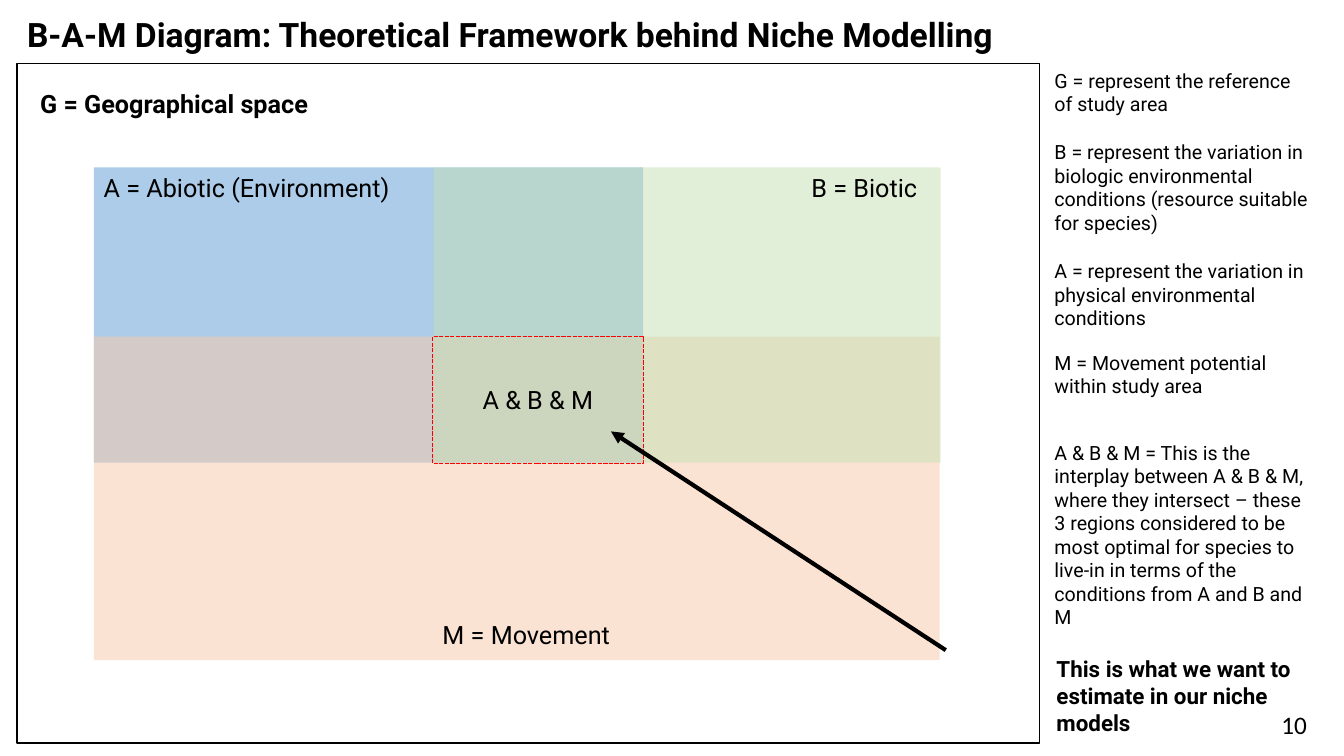
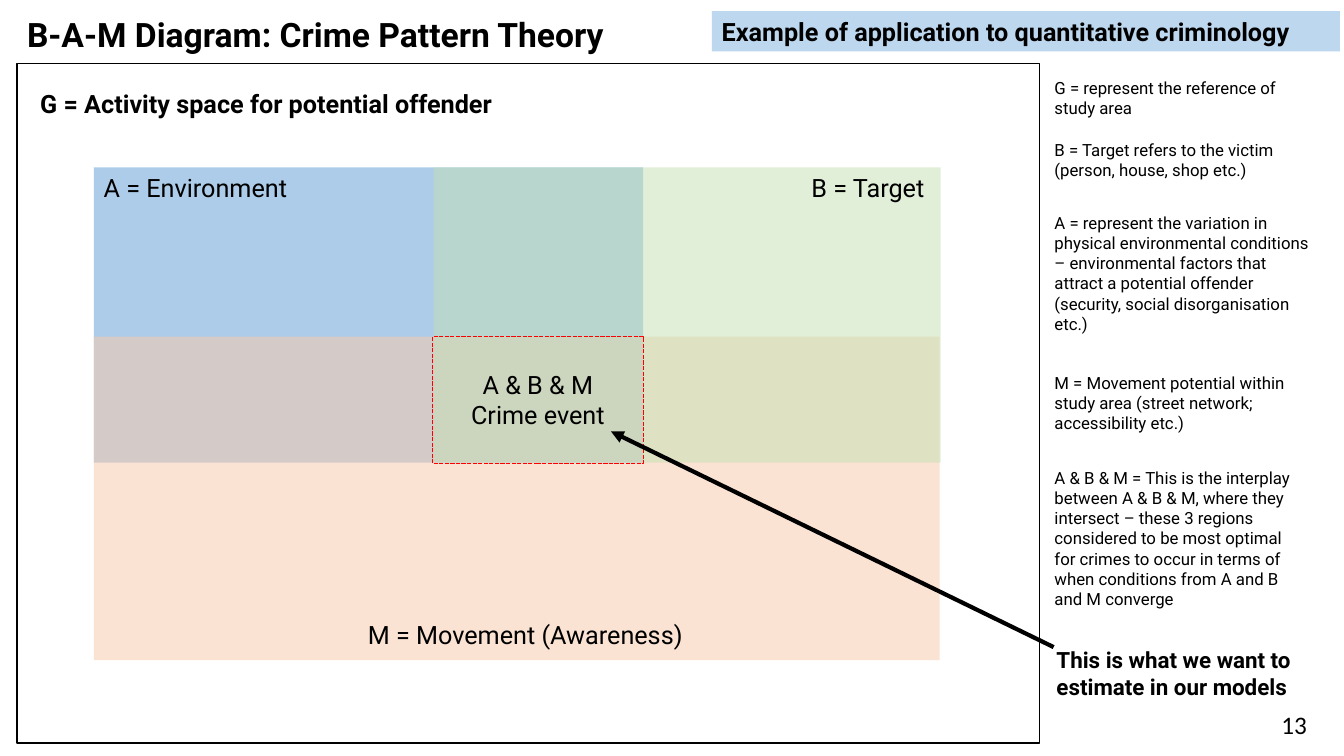
from pptx import Presentation
from pptx import util as u
from pptx.dml.color import RGBColor
from pptx.enum import dml, shapes, text
from pptx.oxml import ns
from lxml import etree

BLACK = RGBColor(0x00, 0x00, 0x00)
WHITE = RGBColor(0xFF, 0xFF, 0xFF)
RED = RGBColor(0xFF, 0x00, 0x00)
BLUE = RGBColor(0x5B, 0x9B, 0xD5)
ORANGE = RGBColor(0xF8, 0xCB, 0xAD)
GREEN = RGBColor(0xC5, 0xE0, 0xB4)
PALE_BLUE = RGBColor(0xBD, 0xD7, 0xEE)
FONT = "Roboto"
NUMBER_FONT = "Calibri"
FRAME = (0.17, 0.63, 10.14, 6.74)
NOTES_LEFT = 10.36


def inches(*values):
    """Turn plain numbers into lengths."""
    return [u.Inches(v) for v in values]


def write(sp, lines, size, bold=False, align=text.PP_ALIGN.LEFT, font=FONT, spacing=None):
    """Fill a shape with one paragraph for each line."""
    tf = sp.text_frame
    tf.word_wrap = True
    tf.vertical_anchor = text.MSO_ANCHOR.TOP
    for i, line in enumerate(lines):
        p = tf.paragraphs[0] if i == 0 else tf.add_paragraph()
        p.alignment = align
        if spacing:
            p.line_spacing = spacing
        r = p.add_run()
        r.text = line
        r.font.name = font
        r.font.size = u.Pt(size)
        r.font.bold = bold
        r.font.color.rgb = BLACK


def add_text(s, box, line, size, **style):
    """Add a text box."""
    write(s.shapes.add_textbox(*inches(*box)), line.split("\n"), size, **style)


def add_rect(s, box, fill=None, opacity=None, line=None, dash=None):
    """Add a rectangle, optionally translucent or outlined."""
    sp = s.shapes.add_shape(shapes.MSO_SHAPE.RECTANGLE, *inches(*box))
    sp.shadow.inherit = False
    if fill is None:
        sp.fill.background()
    else:
        sp.fill.solid()
        sp.fill.fore_color.rgb = fill
    if opacity:
        color = sp.fill._xPr.find(".//" + ns.qn("a:srgbClr"))
        etree.SubElement(color, ns.qn("a:alpha"), val=str(opacity * 1000))
    if line is None:
        sp.line.fill.background()
    else:
        sp.line.color.rgb = line
        sp.line.width = u.Pt(1)
    if dash:
        sp.line.dash_style = dash
    return sp


def add_arrow(s, start, end):
    """Add a thick line with a triangle at its end."""
    cx = s.shapes.add_connector(shapes.MSO_CONNECTOR.STRAIGHT, *inches(*start, *end))
    cx.line.color.rgb = BLACK
    cx.line.width = u.Pt(3)
    etree.SubElement(cx.line._get_or_add_ln(), ns.qn("a:tailEnd"), type="triangle")
    etree.SubElement(cx._element.spPr, ns.qn("a:effectLst"))


def add_header(s, title, banner):
    """Add the title and, where given, the banner beside it."""
    add_text(s, (0.17, 0.13, 10.7, 0.71), title, 24, bold=True, spacing=0.9)
    if banner:
        sp = add_rect(s, (7.06, 0.11, 6.23, 0.4), PALE_BLUE)
        write(sp, [banner], 18, bold=True)


def add_diagram(s, frame, labels, movement_box, core_box, arrow_start):
    """Add the framed diagram of three overlapping zones."""
    left, top = frame[:2]
    x, y = left + 0.76, top + 1.03

    def at(dx, dy, *size):
        return (x + dx, y + dy, *size)

    space, abiotic, biotic, movement, core = labels
    add_rect(s, frame, line=BLACK)
    add_text(s, (left + 0.13, top + 0.2, 5.73, 0.4), space, 18, bold=True)
    add_rect(s, at(0, 0, 5.45, 2.93), BLUE, 50)
    add_rect(s, at(0, 1.68, 8.39, 3.21), ORANGE, 53)
    add_rect(s, at(3.37, 0, 5.03, 2.93), GREEN, 50)
    add_text(s, at(0, 0, 3.1, 0.4), abiotic, 18)
    add_text(s, at(7.02, 0, 1.37, 0.4), biotic, 18)
    add_text(s, at(*movement_box), movement, 18)
    add_rect(s, at(3.36, 1.68, 2.09, 1.26), line=RED, dash=dml.MSO_LINE.SQUARE_DOT)
    add_text(s, at(*core_box), core, 18, align=text.PP_ALIGN.CENTER)
    add_arrow(s, at(*arrow_start), at(5.13, 2.62))


def add_notes(s, left, notes, size, conclusion, conclusion_top):
    """Add the column of definitions and its conclusion."""
    for top, width, height, note in notes:
        add_text(s, (left, top, width, height), note, size)
    add_text(s, (left + 0.02, conclusion_top, 2.82, 0.91), conclusion, 16, bold=True)


def add_bam_slide(prs, number, title, diagram, notes, banner=None):
    """Add one slide with header, diagram, notes and page number."""
    s = prs.slides.add_slide(prs.slide_layouts[6])
    s.background.fill.solid()
    s.background.fill.fore_color.rgb = WHITE
    add_header(s, title, banner)
    add_diagram(s, FRAME, **diagram)
    add_notes(s, NOTES_LEFT, **notes)
    add_text(s, (12.61, 6.99, 0.59, 0.16), number, 18, font=NUMBER_FONT)


NICHE_DIAGRAM = dict(
    labels=("G = Geographical space", "A = Abiotic (Environment)", "B = Biotic",
            "M = Movement", "A & B & M"),
    movement_box=(3.36, 4.43, 2.09, 0.4),
    core_box=(3.72, 2.1, 1.37, 0.4),
    arrow_start=(8.45, 4.79),
)
NICHE_NOTES = dict(
    size=14,
    notes=[
        (0.63, 2.64, 0.57, "G = represent the reference of study area"),
        (1.34, 2.8, 1.04, "B = represent the variation in biologic environmental "
                          "conditions (resource suitable for species)"),
        (2.52, 2.77, 0.81, "A = represent the variation in physical environmental conditions"),
        (3.43, 2.77, 0.57, "M = Movement potential within study area"),
        (4.32, 2.69, 1.99, "A & B & M = This is the interplay between A & B & M, where they "
                           "intersect – these 3 regions considered to be most optimal for "
                           "species to live-in in terms of the conditions from A and B and M"),
    ],
    conclusion="This is what we want to estimate in our niche models",
    conclusion_top=6.45,
)
CRIME_DIAGRAM = dict(
    labels=("G = Activity space for potential offender", "A = Environment", "B = Target",
            "M = Movement (Awareness)", "A & B & M\nCrime event"),
    movement_box=(2.62, 4.43, 3.39, 0.4),
    core_box=(3.57, 1.95, 1.67, 0.71),
    arrow_start=(9.52, 4.76),
)
CRIME_NOTES = dict(
    size=12,
    notes=[
        (0.72, 2.64, 0.5, "G = represent the reference of study area"),
        (1.34, 2.8, 0.5, "B = Target refers to the victim (person, house, shop etc.)"),
        (2.06, 2.77, 1.31, "A = represent the variation in physical environmental conditions "
                           "– environmental factors that attract a potential offender "
                           "(security, social disorganisation etc.)"),
        (3.65, 2.77, 0.71, "M = Movement potential within study area (street network; "
                           "accessibility etc.)"),
        (4.59, 2.69, 1.51, "A & B & M = This is the interplay between A & B & M, where they "
                           "intersect – these 3 regions considered to be most optimal for "
                           "crimes to occur in terms of when conditions from A and B and M "
                           "converge"),
    ],
    conclusion="This is what we want to estimate in our models",
    conclusion_top=6.36,
)


def main():
    """Build and save the presentation."""
    prs = Presentation()
    prs.slide_width, prs.slide_height = inches(13.33, 7.5)
    add_bam_slide(prs, "10", "B-A-M Diagram: Theoretical Framework behind Niche Modelling",
                  NICHE_DIAGRAM, NICHE_NOTES)
    add_bam_slide(prs, "13", "B-A-M Diagram: Crime Pattern Theory",
                  CRIME_DIAGRAM, CRIME_NOTES,
                  banner="Example of application to quantitative criminology")
    prs.save("out.pptx")


if __name__ == "__main__":
    main()
